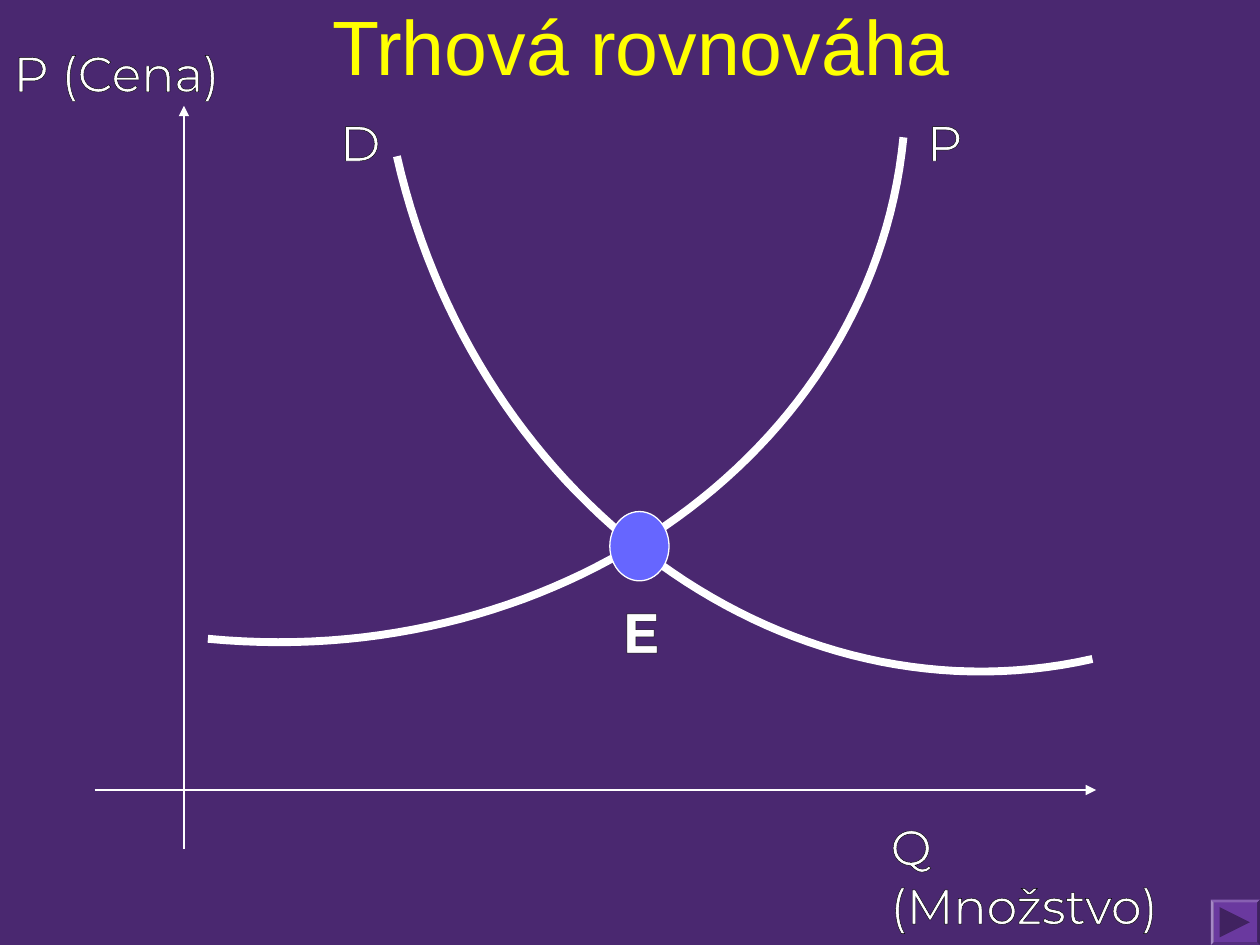
import pptx
import pptx.dml.color
import pptx.enum.shapes
import pptx.enum.text
import pptx.oxml
import pptx.oxml.ns
import pptx.util

Inches = pptx.util.Inches
WHITE = "FFFFFF"
NAMESPACE = pptx.oxml.ns.nsdecls("a")
LABEL_FORMAT = {"name": "Montserrat", "size": pptx.util.Pt(28), "bold": False}
POINT_FORMAT = {**LABEL_FORMAT, "size": pptx.util.Pt(32), "bold": True}
TITLE_FORMAT = {"name": "Arial", "size": pptx.util.Pt(44), "bold": False}


def color(value):
    return pptx.dml.color.RGBColor.from_string(value)


def fill_solid(fill, value):
    fill.solid()
    fill.fore_color.rgb = color(value)


def set_line(shape, width):
    fill_solid(shape.line.fill, WHITE)
    shape.line.width = pptx.util.Pt(width)


def add_axis(slide, start, end):
    axis = slide.shapes.add_connector(
        pptx.enum.shapes.MSO_CONNECTOR.STRAIGHT,
        *(Inches(value) for value in (*start, *end)),
    )
    set_line(axis, 0.75)
    axis.line._get_or_add_ln().append(
        pptx.oxml.parse_xml(f'<a:tailEnd {NAMESPACE} type="triangle"/>'))
    axis._element.spPr.append(pptx.oxml.parse_xml(f"<a:effectLst {NAMESPACE}/>"))


def bezier_point(controls, t):
    weights = ((1 - t) ** 3, 3 * t * (1 - t) ** 2, 3 * t ** 2 * (1 - t), t ** 3)
    return tuple(
        sum(weight * value for weight, value in zip(weights, values))
        for values in zip(*controls)
    )


def add_outline(slide, points, close):
    points = [tuple(Inches(value) for value in point) for point in points]
    builder = slide.shapes.build_freeform(*points[0])
    builder.add_line_segments(points[1:], close=close)
    outline = builder.convert_to_shape()
    outline.shadow.inherit = False
    return outline


def add_curve(slide, controls, steps=60):
    points = [bezier_point(controls, step / steps) for step in range(steps + 1)]
    curve = add_outline(slide, points, close=False)
    curve.fill.background()
    set_line(curve, 4.5)


def add_shape(slide, kind, box, fill):
    shape = slide.shapes.add_shape(kind, *(Inches(value) for value in box))
    shape.shadow.inherit = False
    fill_solid(shape.fill, fill)
    shape.line.fill.background()
    return shape


def add_next_button(slide):
    button = add_shape(slide, pptx.enum.shapes.MSO_SHAPE.BEVEL,
                       (9.61, 7.14, 0.39, 0.36), "6A399F")
    button.adjustments[0] = 0.06
    arrow = add_outline(slide, ((9.68, 7.2), (9.92, 7.32), (9.68, 7.44)), close=True)
    fill_solid(arrow.fill, "402260")
    arrow.line.fill.background()


def add_text(slide, lines, box, font_format, font_color=WHITE, outlined=True):
    text_box = slide.shapes.add_textbox(*(Inches(value) for value in box))
    frame = text_box.text_frame
    frame.word_wrap = False
    frame.text = "\n".join(lines)
    for paragraph in frame.paragraphs:
        run = paragraph.runs[0]
        for name, value in font_format.items():
            setattr(run.font, name, value)
        run.font.color.rgb = color(font_color)
        if outlined:
            run.font._element.insert(0, pptx.oxml.parse_xml(
                f'<a:ln {NAMESPACE} w="9525"><a:solidFill>'
                '<a:srgbClr val="000000"/></a:solidFill></a:ln>'))
    return frame


def add_title(slide, text):
    frame = add_text(slide, [text], (0.59, -0.27, 9, 1.25), TITLE_FORMAT,
                     "FFFF00", outlined=False)
    frame.word_wrap = True
    frame.vertical_anchor = pptx.enum.text.MSO_ANCHOR.MIDDLE
    frame.paragraphs[0].alignment = pptx.enum.text.PP_ALIGN.CENTER


def main():
    presentation = pptx.Presentation()
    presentation.slide_width = Inches(10)
    presentation.slide_height = Inches(7.5)
    slide = presentation.slides.add_slide(presentation.slide_layouts[6])
    fill_solid(slide.background.fill, "4A2870")

    add_axis(slide, (0.75, 6.27), (8.7, 6.27))
    add_axis(slide, (1.46, 6.74), (1.46, 0.84))
    add_text(slide, ["Q", "(Množstvo)"], (6.97, 6.43, 2.4, 0.86), LABEL_FORMAT)
    add_text(slide, ["P (Cena)"], (0.01, 0.29, 1.9, 0.51), LABEL_FORMAT)

    add_curve(slide, ((1.65, 5.07), (4.46, 5.34), (6.93, 3.56), (7.17, 1.09)))
    add_curve(slide, ((3.15, 1.24), (3.78, 4), (6.25, 5.78), (8.67, 5.23)))
    add_text(slide, ["D"], (2.6, 0.84, 0.55, 0.54), LABEL_FORMAT)
    add_text(slide, ["P"], (7.26, 0.84, 0.5, 0.54), LABEL_FORMAT)

    equilibrium = add_shape(slide, pptx.enum.shapes.MSO_SHAPE.OVAL,
                            (4.84, 4.06, 0.47, 0.55), "6666FF")
    set_line(equilibrium, 0.75)
    add_text(slide, ["E"], (4.84, 4.69, 0.5, 0.62), POINT_FORMAT)

    add_title(slide, "Trhová rovnováha")
    add_next_button(slide)
    presentation.save("out.pptx")


if __name__ == "__main__":
    main()
